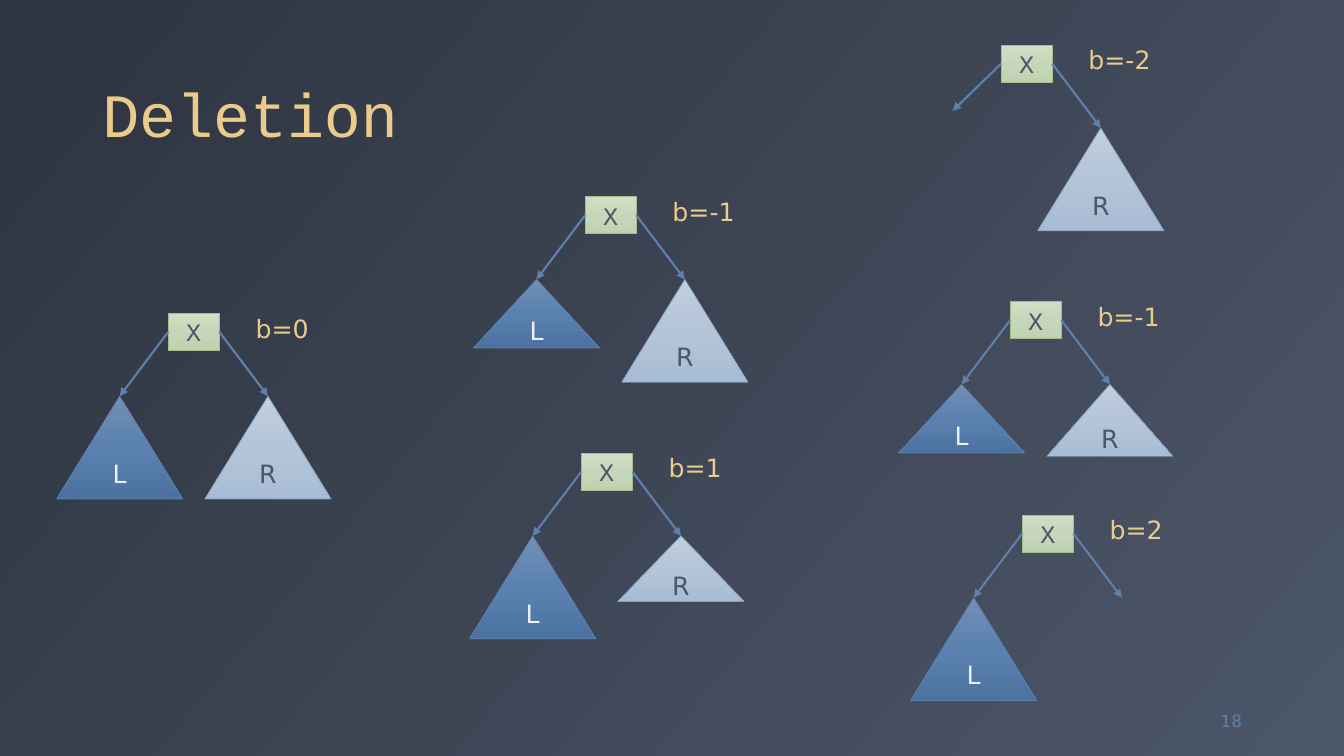
"""Builds the slide on how deletion changes the balance of a tree."""
from copy import deepcopy

from pptx import Presentation
from pptx.dml.color import RGBColor
from pptx.enum.shapes import MSO_CONNECTOR as Link, MSO_SHAPE as Shape
from pptx.enum.text import MSO_ANCHOR as Anchor, PP_ALIGN as Align
from pptx.oxml.ns import qn
from pptx.util import Pt
from lxml.etree import SubElement

MONO, SANS = "Courier New", "DejaVu Sans"
GOLD, BLUE, SLATE = "EBCB8B", "5E81AC", "4C5669"
NODE = ("D1DEC6", "C7D6BA", "BFD2B0")
LEFT = ("738FB5", "5A81B0", "4C72A1")
RIGHT = ("C1CFDF", "B4C5D8", "A8BDD5")
BOX_W, BOX_H = 36.5, 26.6
TREE_W, DROP, REACH = 90, 59.2, 34.7
TALL = 73.4

TREES = [
    (120.2, 223.8, "b=0", TALL, TALL),
    (418, 140.4, "b=-1", 49, TALL),
    (415.2, 323.6, "b=1", TALL, 46.8),
    (715.1, 32.2, "b=-2", 0, TALL),
    (721.6, 215.4, "b=-1", 49, 51.4),
    (730.2, 367.8, "b=2", TALL, 0),
]


def tint(code):
    """Return the colour for a hex string."""
    return RGBColor.from_string(code)


def blend(fill, codes, angle):
    """Fill with evenly spaced colours, the angle running clockwise."""
    fill.gradient()
    fill.gradient_angle = 360 - angle
    first = fill.gradient_stops[0]._gs
    for _ in codes[2:]:
        first.addnext(deepcopy(first))
    for i, (stop, code) in enumerate(zip(fill.gradient_stops, codes)):
        stop.position = i / (len(codes) - 1)
        stop.color.rgb = tint(code)


def write(frame, text, size, font, code, align=Align.LEFT, anchor=Anchor.TOP):
    """Put one run of text in a frame and return its paragraph."""
    frame.vertical_anchor = anchor
    para = frame.paragraphs[0]
    para.alignment = align
    run = para.add_run()
    run.text = text
    run.font.size = Pt(size)
    run.font.name = font
    run.font.color.rgb = tint(code)
    return para


def label(slide, box, *style, wrap=True):
    """Add a text box and return its paragraph."""
    frame = slide.shapes.add_textbox(*map(Pt, box)).text_frame
    frame.word_wrap = wrap
    return write(frame, *style)


def block(slide, kind, box, codes, edge, text, font, ink):
    """Add a shaded shape with a centred letter."""
    shape = slide.shapes.add_shape(kind, *map(Pt, box))
    shape.shadow.inherit = False
    blend(shape.fill, codes, 90)
    shape.line.color.rgb = tint(edge)
    shape.line.width = Pt(0.5)
    write(shape.text_frame, text, 18, font, ink, Align.CENTER, Anchor.MIDDLE)


def arrow(slide, *ends):
    """Add a straight arrow between two points."""
    link = slide.shapes.add_connector(Link.STRAIGHT, *map(Pt, ends))
    link.line.color.rgb = tint(BLUE)
    link.line.width = Pt(1.5)
    SubElement(link.line._get_or_add_ln(), qn("a:tailEnd"), type="triangle")
    SubElement(link._element.spPr, qn("a:effectLst"))


def tree(slide, x, y, text, left, right):
    """Add a node with its subtrees, arrows and balance."""
    block(slide, Shape.RECTANGLE, (x, y, BOX_W, BOX_H), NODE, "A3BE8C",
          "X", MONO, SLATE)
    sides = [
        (x, -REACH, left, LEFT, BLUE, "L", "ECEFF3"),
        (x + BOX_W, REACH, right, RIGHT, "81A1C1", "R", SLATE),
    ]
    for start, reach, high, codes, edge, name, ink in sides:
        tip, top = start + reach, y + DROP
        if high:
            box = (tip - TREE_W / 2, top, TREE_W, high)
            block(slide, Shape.ISOSCELES_TRIANGLE, box, codes, edge,
                  name, SANS, ink)
        short = 12.2 if name == "L" and not high else 0
        arrow(slide, start, y + BOX_H / 2, tip, top - short)
    wide = 60.5 if "-" in text else 52.6
    label(slide, (x + 55.3, y - 3.8, wide, 29), text, 18, SANS, GOLD, wrap=False)


def main():
    """Build the slide and save it."""
    deck = Presentation()
    deck.slide_width, deck.slide_height = Pt(960), Pt(540)
    slide = deck.slides.add_slide(deck.slide_layouts[6])
    blend(slide.background.fill, ("2E3440", SLATE), 40)
    title = label(slide, (66, 13, 828, 98), "Deletion", 44, MONO, GOLD,
                  Align.LEFT, Anchor.BOTTOM)
    title.line_spacing = 0.9
    label(slide, (834.5, 500.4, 59.8, 28.8), "18", 12, SANS, BLUE,
          Align.RIGHT, Anchor.MIDDLE)
    for item in TREES:
        tree(slide, *item)
    deck.save("out.pptx")


if __name__ == "__main__":
    main()
